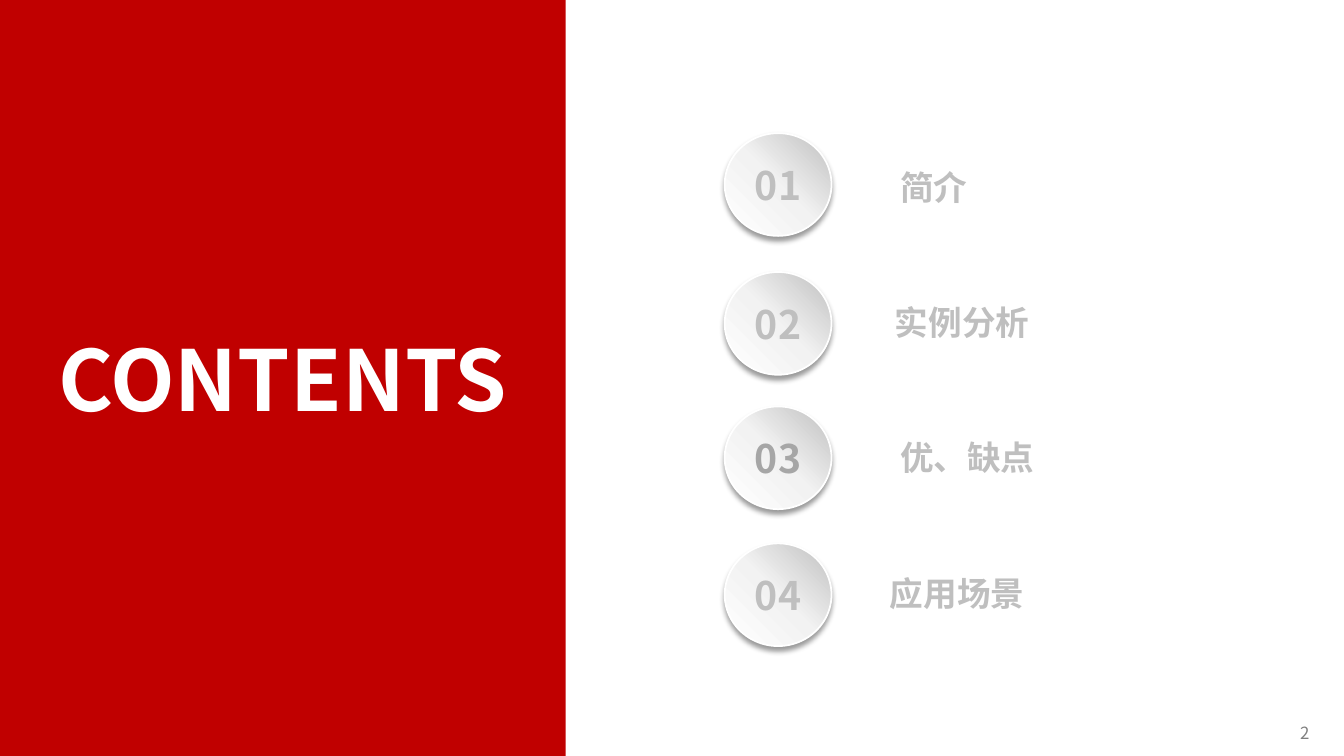
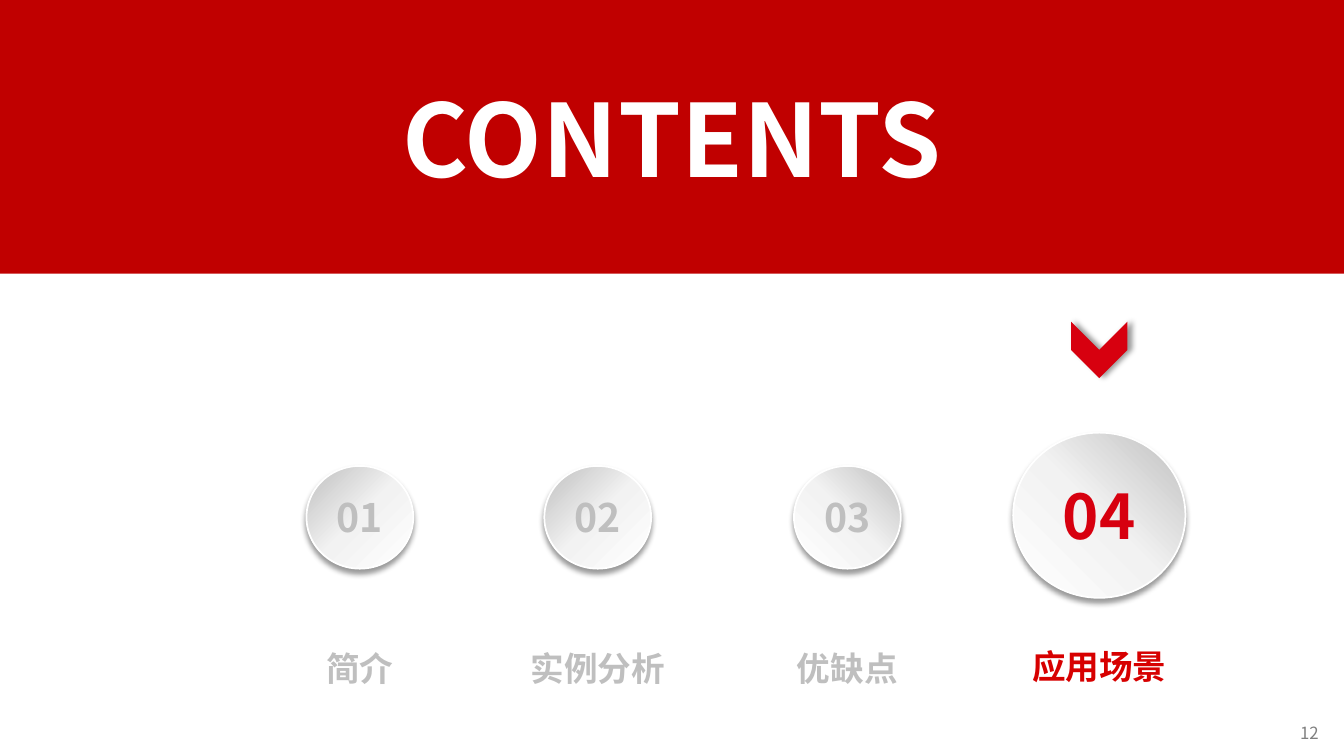
import copy

import lxml.etree
import pptx
import pptx.dml.color
import pptx.enum.shapes
import pptx.enum.text
import pptx.oxml.ns
import pptx.util

Pt = pptx.util.Pt
RGBColor = pptx.dml.color.RGBColor
MSO_SHAPE = pptx.enum.shapes.MSO_SHAPE
PP_ALIGN = pptx.enum.text.PP_ALIGN
MSO_ANCHOR = pptx.enum.text.MSO_ANCHOR
MSO_AUTO_SIZE = pptx.enum.text.MSO_AUTO_SIZE
qn = pptx.oxml.ns.qn

BAND_RED = RGBColor(0xC0, 0x00, 0x00)
ACCENT_RED = RGBColor(0xD7, 0x00, 0x0F)
LABEL_RED = RGBColor(0xD7, 0x00, 0x00)
WHITE = RGBColor(0xFF, 0xFF, 0xFF)
PALE_GREY = RGBColor(0xF2, 0xF2, 0xF2)
SOFT_GREY = RGBColor(0xBF, 0xBF, 0xBF)
MID_GREY = RGBColor(0xA6, 0xA6, 0xA6)
NUMBER_GREY = RGBColor(0x80, 0x80, 0x80)

FONT = "Noto Sans CJK SC"
SLIDE_WIDTH, SLIDE_HEIGHT = 960, 540
BUTTON_WIDTH, BUTTON_HEIGHT = 76.3, 73.4
LABEL_WIDTH, LABEL_HEIGHT = 247, 36
TITLE_ONLY = 5


class Deck:
    def __init__(self):
        self.presentation = pptx.Presentation()
        self.presentation.slide_width = Pt(SLIDE_WIDTH)
        self.presentation.slide_height = Pt(SLIDE_HEIGHT)
        self.slide = None

    def add_slide(self, number):
        layout = self.presentation.slide_layouts[TITLE_ONLY]
        self.slide = self.presentation.slides.add_slide(layout)
        self.text(str(number), 921.6, 512.6, 36.7, 21, 12, NUMBER_GREY, bold=False)

    def set_text(self, shape, text, size, color, align, bold=True):
        paragraph = shape.text_frame.paragraphs[0]
        paragraph.text = text
        paragraph.alignment = align
        font = paragraph.font
        font.size = Pt(size)
        font.bold = bold
        font.color.rgb = color
        font.name = FONT
        lxml.etree.SubElement(font._element, qn("a:ea"), typeface=FONT)

    def title_band(self, text, width, height, size):
        title = self.slide.shapes.title
        title.left, title.top = Pt(0), Pt(0)
        title.width, title.height = Pt(width), Pt(height)
        title.fill.solid()
        title.fill.fore_color.rgb = BAND_RED
        title.text_frame.auto_size = MSO_AUTO_SIZE.NONE
        title.text_frame.vertical_anchor = MSO_ANCHOR.MIDDLE
        self.set_text(title, text, size, WHITE, PP_ALIGN.CENTER)

    def text(self, text, left, top, width, height, size, color,
             align=PP_ALIGN.LEFT, bold=True):
        box = self.slide.shapes.add_textbox(Pt(left), Pt(top), Pt(width), Pt(height))
        box.text_frame.word_wrap = True
        self.set_text(box, text, size, color, align, bold)
        return box

    def label(self, text, left, top, color=SOFT_GREY, align=PP_ALIGN.LEFT):
        box = self.text(text, left, top, LABEL_WIDTH, LABEL_HEIGHT, 24, color, align)
        box.text_frame.auto_size = MSO_AUTO_SIZE.SHAPE_TO_FIT_TEXT

    def centred_shape(self, kind, center_x, center_y, width, height):
        return self.slide.shapes.add_shape(
            kind, Pt(center_x - width / 2), Pt(center_y - height / 2),
            Pt(width), Pt(height))

    def shadow(self, shape, direction):
        shape.shadow.inherit = False
        effects = shape._element.spPr.find(qn("a:effectLst"))
        outer = lxml.etree.SubElement(
            effects, qn("a:outerShdw"), blurRad=str(Pt(4)), dist=str(Pt(3)),
            dir=str(direction * 60000), algn="ctr", rotWithShape="0")
        black = lxml.etree.SubElement(outer, qn("a:srgbClr"), val="000000")
        lxml.etree.SubElement(black, qn("a:alpha"), val="40000")

    def button(self, text, center_x, center_y, color=SOFT_GREY, size=28,
               width=BUTTON_WIDTH, height=BUTTON_HEIGHT, flipped=False):
        button = self.centred_shape(MSO_SHAPE.OVAL, center_x, center_y, width, height)
        properties = button._element.spPr
        if flipped:
            properties.find(qn("a:xfrm")).set("flipH", "1")
        button.fill.gradient()
        button.fill.gradient_angle = 45
        stops = properties.find(qn("a:gradFill")).find(qn("a:gsLst"))
        stops.append(copy.deepcopy(stops[0]))
        shades = ((0, WHITE), (0.5, PALE_GREY), (1, SOFT_GREY))
        for stop, (position, shade) in zip(button.fill.gradient_stops, shades):
            stop.position = position
            stop.color.rgb = shade
        button.line.color.rgb = WHITE
        button.line.width = Pt(1.25)
        self.shadow(button, 90)
        button.text_frame.vertical_anchor = MSO_ANCHOR.MIDDLE
        self.set_text(button, text, size, color, PP_ALIGN.CENTER)

    def down_chevron(self, center_x, center_y, size):
        chevron = self.centred_shape(MSO_SHAPE.CHEVRON, center_x, center_y, size, size)
        chevron.rotation = 90
        chevron.fill.solid()
        chevron.fill.fore_color.rgb = ACCENT_RED
        chevron.line.fill.background()
        self.shadow(chevron, 0)


deck = Deck()

deck.add_slide(2)
deck.title_band("CONTENTS", 404, SLIDE_HEIGHT, 60)
agenda = (
    ("简介", 131.8, 635.8, 116, SOFT_GREY),
    ("实例分析", 231, 632.2, 212.4, SOFT_GREY),
    ("优、缺点", 327, 635.8, 308.9, MID_GREY),
    ("应用场景", 424.8, 628.6, 406, SOFT_GREY),
)
for number, (topic, center_y, label_left, label_top, color) in enumerate(agenda, 1):
    deck.button(f"{number:02}", 555.8, center_y, color)
    deck.label(topic, label_left, label_top)

deck.add_slide(12)
deck.title_band("CONTENTS", SLIDE_WIDTH, 195.4, 72)
finished = (("简介", 257.1, True), ("实例分析", 427, True), ("优缺点", 605.3, False))
for number, (topic, center_x, flipped) in enumerate(finished, 1):
    deck.button(f"{number:02}", center_x, 369.5, flipped=flipped)
    deck.label(topic, center_x - LABEL_WIDTH / 2, 459.4, align=PP_ALIGN.CENTER)
current_x = 785.2
deck.down_chevron(current_x, 249.9, 40.3)
deck.button("04", current_x, 368, ACCENT_RED, 44, 123.1, 118)
deck.label("应用场景", current_x - LABEL_WIDTH / 2, 457.5, LABEL_RED, PP_ALIGN.CENTER)

deck.presentation.save("out.pptx")
